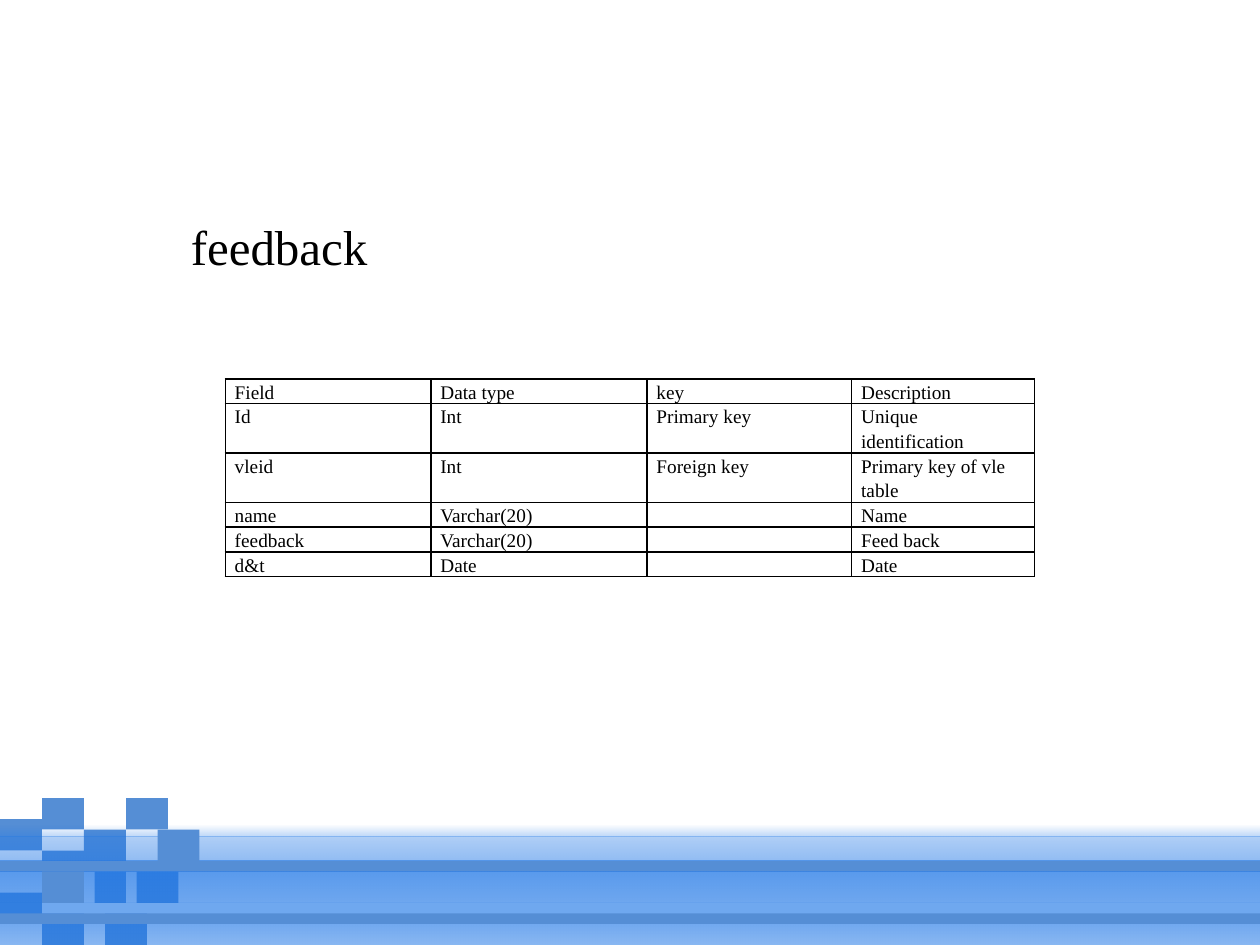
from itertools import pairwise
from lxml.etree import SubElement
from pptx import Presentation
from pptx.dml.color import RGBColor
from pptx.enum.shapes import MSO_SHAPE
from pptx.enum.text import MSO_ANCHOR
from pptx.oxml.ns import qn
from pptx.util import Pt

WIDE, HIGH = 720, 540
FACE = "Times New Roman"
BLUE, GLOW, BLACK = "558ED5", "1F77E7", "000000"

# Left, top, width of each tile, relative to the footer box
BACK = [(0, 12, 24), (24, 0, 24), (48, 18, 24), (24, 30, 24), (0, 54, 24),
        (78, 42, 24), (54, 42, 18), (60, 66, 24), (24, 66, 24)]
FRONT = [(24, 42, 24), (72, 0, 24), (90, 18, 24)]
BARS = [66, 36]
# Top and opacity in percent at each step of the glow
STEPS = [(16, 0), (22, 35), (36, 50), (42, 74), (60, 64), (72, 64), (84, 52)]

ROWS = [
    ("Field", "Data type", "key", "Description"),
    ("Id", "Int", "Primary key", "Unique identification"),
    ("vleid", "Int", "Foreign key", "Primary key of vle table"),
    ("name", "Varchar(20)", "", "Name"),
    ("feedback", "Varchar(20)", "", "Feed back"),
    ("d&t", "Date", "", "Date"),
]
COLS = [117.5, 123.5, 117, 104.5]
LINES = [1, 2, 2, 1, 1, 1]


def color(code):
    return RGBColor.from_string(code)


def style(font, size):
    for name, value in {"name": FACE, "size": Pt(size)}.items():
        setattr(font, name, value)
    font.color.rgb = color(BLACK)


def block(slide, left, top, width, height):
    shape = slide.shapes.add_shape(
        MSO_SHAPE.RECTANGLE, Pt(left), Pt(top), Pt(width), Pt(height))
    shape.shadow.inherit = False
    shape.line.fill.background()
    shape.fill.solid()
    shape.fill.fore_color.rgb = color(BLUE)
    return shape


def fade(shape, alphas):
    """Fill from top to bottom with one colour of changing opacity."""
    fill = shape.fill
    fill.gradient()
    fill.gradient_angle = 270
    for stop, alpha in zip(fill.gradient_stops, alphas):
        stop.color.rgb = color(GLOW)
    marks = shape.element.spPr.iter(qn("a:srgbClr"))
    for mark, alpha in zip(list(marks), alphas):
        SubElement(mark, qn("a:alpha"), val=str(alpha * 1000))


def footer(slide, left, top, width):
    def tiles(spots):
        for x, y, size in spots:
            block(slide, left + x, top + y, size, 18)

    tiles(BACK)
    # Glow over the rear tiles
    for (y, start), (end, stop) in pairwise(STEPS):
        fade(block(slide, left, top + y, width, end - y), (start, stop))
    # Bars and front tiles
    for y in BARS:
        block(slide, left, top + y, width, 6)
    tiles(FRONT)


def border(cell):
    props = cell._tc.get_or_add_tcPr()
    for spot, side in enumerate(("lnL", "lnR", "lnT", "lnB")):
        line = props.makeelement(qn(f"a:{side}"), {"w": str(Pt(1))})
        fill = SubElement(line, qn("a:solidFill"))
        SubElement(fill, qn("a:srgbClr"), val=BLACK)
        props.insert(spot, line)


def write(cell, text):
    edges = {"margin_left": 5.4, "margin_right": 5.4,
             "margin_top": 0, "margin_bottom": 0}
    for name, value in edges.items():
        setattr(cell, name, Pt(value))
    cell.fill.background()
    border(cell)
    para = cell.text_frame.paragraphs[0]
    para.line_spacing = 1.15
    if text:
        run = para.add_run()
        run.text = text
        style(run.font, 11)
    else:
        # Keep empty cells as low as the others
        SubElement(para._p, qn("a:endParaRPr"), sz="1100")


def grid(slide, left, top, width, height):
    frame = slide.shapes.add_table(
        len(ROWS), len(COLS), Pt(left), Pt(top), Pt(width), Pt(height))
    table = frame.table
    table.first_row = table.horz_banding = False
    for col, size in zip(table.columns, COLS):
        col.width = Pt(size)
    for row, lines, texts in zip(table.rows, LINES, ROWS):
        row.height = Pt(height * lines / sum(LINES))
        for cell, text in zip(row.cells, texts):
            write(cell, text)


def title(slide, left, top, width, height):
    box = slide.shapes.add_textbox(Pt(left), Pt(top), Pt(width), Pt(height))
    frame = box.text_frame
    frame.word_wrap = False
    frame.vertical_anchor = MSO_ANCHOR.TOP
    run = frame.paragraphs[0].add_run()
    run.text = "feedback"
    style(run.font, 28)


def main():
    deck = Presentation()
    deck.slide_width, deck.slide_height = Pt(WIDE), Pt(HIGH)
    slide = deck.slides.add_slide(deck.slide_layouts[6])
    footer(slide, 0, 456, WIDE)
    grid(slide, 128.75, 216.5, sum(COLS), 113)
    title(slide, 102, 120, 117, 75)
    deck.save("out.pptx")


if __name__ == "__main__":
    main()
